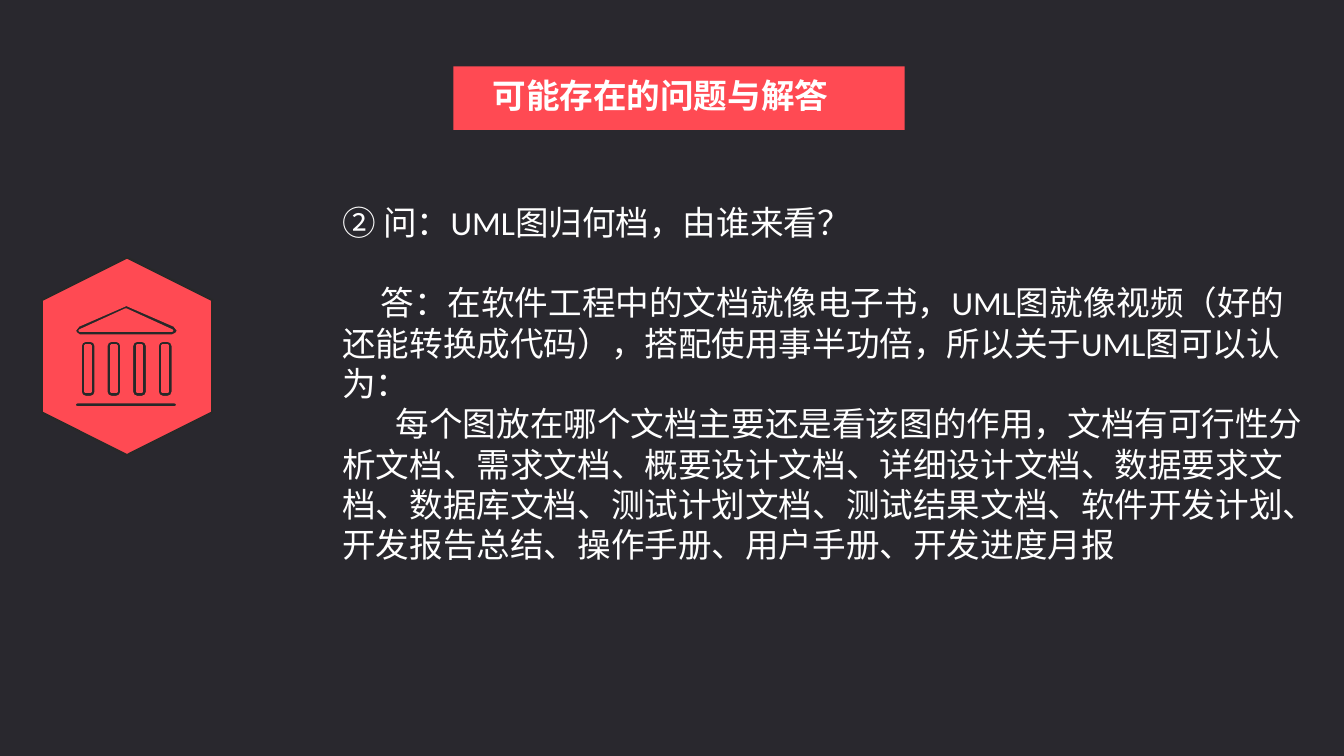
import math

from lxml import etree
from pptx import Presentation
from pptx.dml.color import RGBColor
from pptx.enum.shapes import MSO_SHAPE
from pptx.enum.text import MSO_ANCHOR
from pptx.oxml.ns import qn
from pptx.util import Inches, Pt

HEXAGON = MSO_SHAPE.HEXAGON
RECTANGLE = MSO_SHAPE.RECTANGLE
TOP, MIDDLE = MSO_ANCHOR.TOP, MSO_ANCHOR.MIDDLE

NIGHT = RGBColor(0x29, 0x28, 0x2E)
INK = RGBColor(0x28, 0x28, 0x28)
CORAL = RGBColor(0xFF, 0x4A, 0x53)
WHITE = RGBColor(0xFF, 0xFF, 0xFF)

CJK_FONT = "Noto Sans CJK SC"
TITLE = "可能存在的问题与解答"
QUESTION = "② 问：UML图归何档，由谁来看？"
ANSWER = ("答：在软件工程中的文档就像电子书，UML图就像视频（好的还能转换成代码），"
          "搭配使用事半功倍，所以关于UML图可以认为：")
DETAIL = ("每个图放在哪个文档主要还是看该图的作用，文档有可行性分析文档、需求文档、"
          "概要设计文档、详细设计文档、数据要求文档、数据库文档、测试计划文档、"
          "测试结果文档、软件开发计划、开发报告总结、操作手册、用户手册、开发进度月报")

# Each entry: text, first-line indent in inches, space before in points
BODY = [(QUESTION, 0, 0), (ANSWER, 0.38, 28.8), (DETAIL, 0.53, 0)]


def paint(shape, fill, line=None, width=0):
    shape.shadow.inherit = False
    shape.fill.solid()
    shape.fill.fore_color.rgb = fill
    if line is None:
        shape.line.fill.background()
    else:
        shape.line.color.rgb = line
        shape.line.width = Pt(width)


def add_block(page, kind, left, top, width, height):
    return page.shapes.add_shape(
        kind, Inches(left), Inches(top), Inches(width), Inches(height))


def rounded_outline(left, top, width, height, radius):
    """Return the points of a rounded rectangle, clockwise from top left."""
    near_x, far_x = left + radius, left + width - radius
    near_y, far_y = top + radius, top + height - radius
    corners = [(near_x, near_y, 180), (far_x, near_y, 270),
               (far_x, far_y, 0), (near_x, far_y, 90)]
    turns = (0, 45, 90) if radius else (0,)
    return [(x + radius * math.cos(math.radians(start + turn)),
             y + radius * math.sin(math.radians(start + turn)))
            for x, y, start in corners for turn in turns]


def add_outline(page, *contours):
    """Draw closed contours as one shape; a second contour cuts a hole."""
    scaled = [[(Inches(x), Inches(y)) for x, y in contour] for contour in contours]
    builder = page.shapes.build_freeform(*scaled[0][0])
    builder.add_line_segments(scaled[0][1:], close=True)
    for contour in scaled[1:]:
        builder.move_to(*contour[0])
        builder.add_line_segments(contour[1:], close=True)
    paint(builder.convert_to_shape(), INK, CORAL, 1.75)


def add_museum_icon(page):
    badge = add_block(page, HEXAGON, 0.28, 2.69, 1.96, 1.69)
    badge.rotation = 90
    badge.adjustments[0] = 0.25
    paint(badge, CORAL, INK, 1.5)

    add_outline(page, rounded_outline(0.74, 3.99, 1.02, 0.05, 0.025))
    for column in range(4):
        left = 0.8 + column * 0.255
        add_outline(page,
                    rounded_outline(left, 3.38, 0.15, 0.56, 0.05),
                    rounded_outline(left + 0.05, 3.43, 0.05, 0.46, 0))
    roof = [(0.79, 3.33), (1.71, 3.33), (1.75, 3.31), (1.77, 3.28), (1.73, 3.23),
            (1.27, 3.03), (1.25, 3.02), (1.24, 3.03), (0.78, 3.23), (0.74, 3.28),
            (0.76, 3.31)]
    add_outline(page, roof, [(1.25, 3.07), (1.71, 3.28), (0.79, 3.28)])


def add_text(page, place, entries, anchor, wrap, **font):
    box = page.shapes.add_textbox(*[Inches(value) for value in place])
    frame = box.text_frame
    frame.word_wrap = wrap
    frame.vertical_anchor = anchor
    for index, (text, indent, before) in enumerate(entries):
        para = frame.paragraphs[0] if index == 0 else frame.add_paragraph()
        para._p.get_or_add_pPr().set("indent", str(Inches(indent)))
        if before:
            para.space_before = Pt(before)
        span = para.add_run()
        span.text = text
        for name, value in font.items():
            setattr(span.font, name, value)
        span.font.color.rgb = WHITE
        etree.SubElement(span._r.get_or_add_rPr(), qn("a:ea"), typeface=CJK_FONT)


def main():
    deck = Presentation()
    deck.slide_width, deck.slide_height = Inches(13.34), Inches(7.5)
    page = deck.slides.add_slide(deck.slide_layouts[6])
    page.background.fill.solid()
    page.background.fill.fore_color.rgb = NIGHT

    add_museum_icon(page)
    paint(add_block(page, RECTANGLE, 4.5, 0.66, 4.48, 0.63), CORAL)
    add_text(page, (4.57, 0.69, 3.76, 0.5), [(TITLE, 0.22, 0)], MIDDLE, False,
             name=CJK_FONT, size=Pt(24), bold=True)
    add_text(page, (3.3, 1.95, 9.77, 3.3), BODY, TOP, True,
             name="Calibri", size=Pt(24))
    deck.save("out.pptx")


if __name__ == "__main__":
    main()
